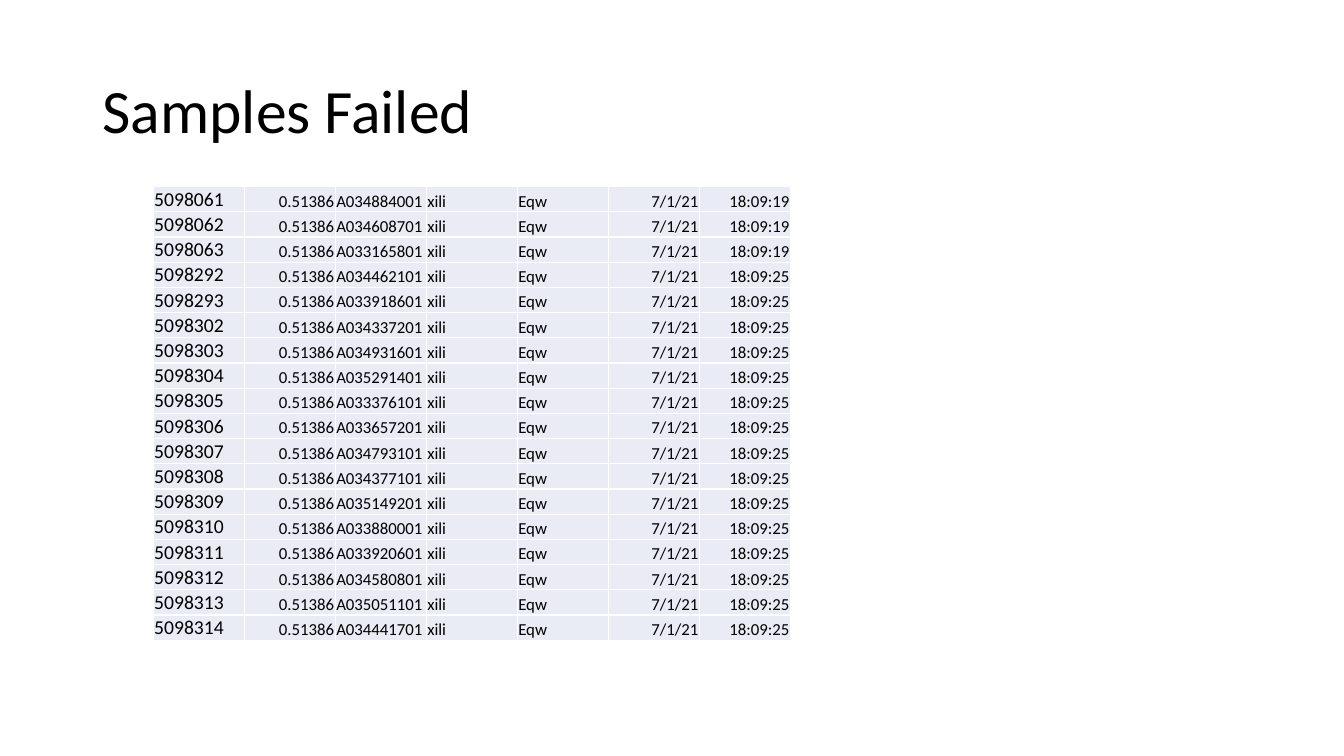
from lxml import etree
from pptx import Presentation, util as u
from pptx.dml.color import RGBColor
from pptx.enum import text
from pptx.oxml import ns

JOBS = [
    ("5098061", "A034884001", "18:09:19"),
    ("5098062", "A034608701", "18:09:19"),
    ("5098063", "A033165801", "18:09:19"),
    ("5098292", "A034462101", "18:09:25"),
    ("5098293", "A033918601", "18:09:25"),
    ("5098302", "A034337201", "18:09:25"),
    ("5098303", "A034931601", "18:09:25"),
    ("5098304", "A035291401", "18:09:25"),
    ("5098305", "A033376101", "18:09:25"),
    ("5098306", "A033657201", "18:09:25"),
    ("5098307", "A034793101", "18:09:25"),
    ("5098308", "A034377101", "18:09:25"),
    ("5098309", "A035149201", "18:09:25"),
    ("5098310", "A033880001", "18:09:25"),
    ("5098311", "A033920601", "18:09:25"),
    ("5098312", "A034580801", "18:09:25"),
    ("5098313", "A035051101", "18:09:25"),
    ("5098314", "A034441701", "18:09:25"),
]
RIGHT_COLUMNS = {1, 5, 6}


def color(hex_value):
    return RGBColor.from_string(hex_value)


class SlideWriter:
    """Hold the style and current slide, placing elements by percent of its size."""

    font = "Calibri"
    ink = "000000"
    cell_fill = "E9EBF5"
    border = "FFFFFF"

    def __init__(self, presentation):
        self.width = presentation.slide_width
        self.height = presentation.slide_height
        self.slide = presentation.slides.add_slide(presentation.slide_layouts[6])
        self.slide.background.fill.solid()
        self.slide.background.fill.fore_color.rgb = color("FFFFFF")

    def box(self, left, top, width, height):
        return (
            round(left * self.width / 100),
            round(top * self.height / 100),
            round(width * self.width / 100),
            round(height * self.height / 100),
        )

    def run(self, paragraph, words, size):
        run = paragraph.add_run()
        run.text = words
        run.font.name = self.font
        run.font.size = u.Pt(size)
        run.font.color.rgb = color(self.ink)

    def title(self, words, *area):
        frame = self.slide.shapes.add_textbox(*self.box(*area)).text_frame
        frame.word_wrap = True
        frame.vertical_anchor = text.MSO_ANCHOR.MIDDLE
        paragraph = frame.paragraphs[0]
        paragraph.line_spacing = 0.9
        self.run(paragraph, words, 44)

    def table(self, rows, *area):
        left, top, width, height = self.box(*area)
        row_count, column_count = len(rows), len(rows[0])
        shape = self.slide.shapes.add_table(row_count, column_count, left, top, width, height)
        table = shape.table
        table.first_row = table.horz_banding = False
        for column in table.columns:
            column.width = round(width / column_count)
        for row in table.rows:
            row.height = round(height / row_count)
        for row_index, values in enumerate(rows):
            for column_index, value in enumerate(values):
                self.cell(table.cell(row_index, column_index), value, column_index)

    def cell(self, cell, value, column_index):
        cell.margin_left = cell.margin_right = cell.margin_top = u.Inches(0.01)
        cell.margin_bottom = 0
        self.borders(cell)
        cell.fill.solid()
        cell.fill.fore_color.rgb = color(self.cell_fill)
        is_job = column_index == 0
        cell.vertical_anchor = text.MSO_ANCHOR.MIDDLE if is_job else text.MSO_ANCHOR.BOTTOM
        paragraph = cell.text_frame.paragraphs[0]
        is_right = column_index in RIGHT_COLUMNS
        paragraph.alignment = text.PP_ALIGN.RIGHT if is_right else text.PP_ALIGN.LEFT
        self.run(paragraph, value, 14 if is_job else 12)

    def borders(self, cell):
        properties = cell._tc.get_or_add_tcPr()
        for side in ("L", "R", "T", "B"):
            line = etree.SubElement(properties, ns.qn(f"a:ln{side}"), w=str(u.Pt(1)))
            fill = etree.SubElement(line, ns.qn("a:solidFill"))
            etree.SubElement(fill, ns.qn("a:srgbClr"), val=self.border)


def main():
    presentation = Presentation()
    presentation.slide_width = u.Inches(13.33)
    presentation.slide_height = u.Inches(7.5)
    writer = SlideWriter(presentation)
    writer.title("Samples Failed", 6.9, 5.33, 86.27, 19.33)
    rows = [
        (job, "0.51386", sample, "xili", "Eqw", "7/1/21", time)
        for job, sample, time in JOBS
    ]
    writer.table(rows, 11.4, 24.67, 47.41, 60)
    presentation.save("out.pptx")


if __name__ == "__main__":
    main()
